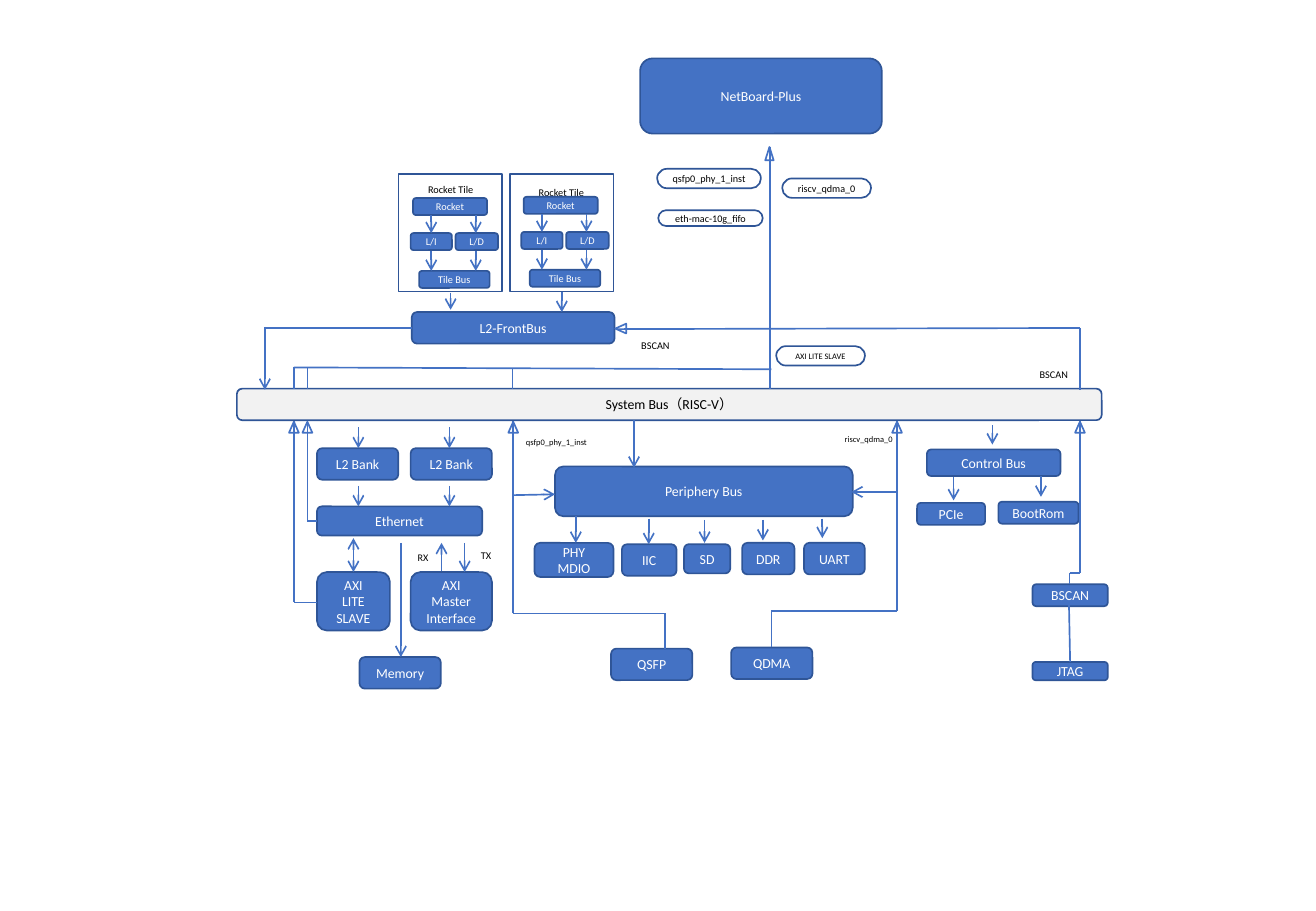
from dataclasses import dataclass
from typing import NamedTuple

from lxml.etree import SubElement
from pptx import Presentation
from pptx.dml.color import RGBColor
from pptx.enum.shapes import MSO_CONNECTOR, MSO_SHAPE
from pptx.enum.text import MSO_ANCHOR, PP_ALIGN
from pptx.oxml.ns import qn
from pptx.util import Pt


@dataclass(frozen=True)
class Theme:
    font: str = "Calibri"
    blue: str = "4472C4"
    edge: str = "2F5597"
    pale: str = "F2F2F2"
    white: str = "FFFFFF"
    black: str = "000000"
    block_size: float = 8.2
    part_size: float = 6.1
    pill_size: float = 6
    note_size: float = 5
    stroke: float = 1


class Block(NamedTuple):
    text: str
    left: float
    top: float
    width: float
    height: float
    wrap: bool = False


class Label(NamedTuple):
    text: str
    left: float
    top: float
    width: float
    size: float


class Head(NamedTuple):
    left: float
    top: float
    width: float = 5.8
    height: float = 6.5
    rotation: float = 0


Point = tuple[float, float]
theme = Theme()
deck = Presentation()
deck.slide_width, deck.slide_height = Pt(780), Pt(540)
page = deck.slides.add_slide(deck.slide_layouts[6])


def write(box, text: str, *, size: float, color: str, align=PP_ALIGN.CENTER,
          anchor=MSO_ANCHOR.MIDDLE, wrap: bool = False, inset: Point = (0, 0)) -> None:
    frame = box.text_frame
    frame.word_wrap = wrap
    frame.vertical_anchor = anchor
    frame.margin_left = frame.margin_right = Pt(inset[0])
    frame.margin_top = frame.margin_bottom = Pt(inset[1])
    para = frame.paragraphs[0]
    para.alignment = align
    span = para.add_run()
    span.text = text
    span.font.name = theme.font
    span.font.size = Pt(size)
    span.font.color.rgb = RGBColor.from_string(color)


def draw_shape(kind, left: float, top: float, width: float, height: float, *,
               fill: str | None = None, line: str = theme.edge):
    box = page.shapes.add_shape(kind, Pt(left), Pt(top), Pt(width), Pt(height))
    box.shadow.inherit = False
    if fill:
        box.fill.solid()
        box.fill.fore_color.rgb = RGBColor.from_string(fill)
    else:
        box.fill.background()
    box.line.color.rgb = RGBColor.from_string(line)
    box.line.width = Pt(theme.stroke)
    return box


def draw_block(block: Block, *, size: float = theme.block_size,
               fill: str = theme.blue, color: str = theme.white) -> None:
    box = draw_shape(MSO_SHAPE.ROUNDED_RECTANGLE, *block[1:5], fill=fill)
    write(box, block.text, size=size, color=color, wrap=block.wrap,
          inset=(7, 0) if block.wrap else (0, 0))


def draw_pill(block: Block, *, size: float = theme.pill_size) -> None:
    box = draw_shape(MSO_SHAPE.ROUNDED_RECTANGLE, *block[1:5])
    box.adjustments[0] = 0.5
    write(box, block.text, size=size, color=theme.black)


def draw_label(label: Label, *, align=PP_ALIGN.LEFT) -> None:
    box = page.shapes.add_textbox(Pt(label.left), Pt(label.top), Pt(label.width), Pt(14.4))
    write(box, label.text, size=label.size, color=theme.black, align=align,
          anchor=MSO_ANCHOR.TOP, wrap=True, inset=(7.2, 3.6))


def draw_line(start: Point, end: Point, *, arrow: bool = False, both: bool = False) -> None:
    line = page.shapes.add_connector(MSO_CONNECTOR.STRAIGHT, *map(Pt, start + end))
    line.line.color.rgb = RGBColor.from_string(theme.blue)
    line.line.width = Pt(theme.stroke)
    outline = line.line._get_or_add_ln()
    if both:
        SubElement(outline, qn("a:headEnd"), type="arrow")
    if arrow or both:
        SubElement(outline, qn("a:tailEnd"), type="arrow")
    SubElement(line._element.spPr, qn("a:effectLst"))


def draw_route(*points: Point) -> None:
    for start, end in zip(points, points[1:]):
        draw_line(start, end)


def draw_head(head: Head) -> None:
    box = draw_shape(MSO_SHAPE.ISOSCELES_TRIANGLE, *head[:4], line=theme.blue)
    box.rotation = head.rotation


def draw_tile(frame_left: float, shift: float, rise: float, title_top: float) -> None:
    draw_shape(MSO_SHAPE.RECTANGLE, frame_left, 103, 61.2, 69.8)
    draw_label(Label("Rocket Tile", 243.4 + shift, title_top, 47.5, theme.part_size),
               align=PP_ALIGN.CENTER)
    for text, left, top, width in (("Rocket", 244.8, 117.4, 43.9), ("L/I", 243.4, 138.2, 24.5),
                                   ("L/D", 270, 138.2, 25.2), ("Tile Bus", 248.4, 160.6, 41.8)):
        draw_block(Block(text, left + shift, top - rise, width, 10.1), size=theme.part_size)
    for x in (255.6, 282):
        for top, bottom in ((127.5, 138.2), (149, 160.6)):
            draw_line((x + shift, top - rise), (x + shift, bottom - rise), arrow=True)


BLOCKS = [
    Block("NetBoard-Plus", 379.4, 34.6, 143.3, 44.6),
    Block("L2-FrontBus", 244.1, 185, 120.2, 18.7),
    Block("L2 Bank", 187.9, 265.7, 48.2, 18.7),
    Block("L2 Bank", 243.4, 265.7, 48.2, 18.7),
    Block("Ethernet", 187.9, 300.2, 97.9, 17.3),
    Block("AXI LITE SLAVE", 187.9, 339.1, 43.2, 34.6, wrap=True),
    Block("AXI Master Interface", 243.4, 339.1, 48.2, 34.6, wrap=True),
    Block("Memory", 213.1, 389.5, 48.2, 18.7),
    Block("Periphery Bus", 329, 276.5, 176.4, 29.5),
    Block("PHY MDIO", 316.8, 321.8, 46.8, 20.2, wrap=True),
    Block("IIC", 368.6, 322.6, 32.4, 18.7),
    Block("SD", 405.4, 322.6, 27.4, 17.3),
    Block("DDR", 439.9, 321.8, 31, 18.7),
    Block("UART", 476.6, 321.8, 36, 18.7),
    Block("QSFP", 362.2, 384.5, 48.2, 18.7),
    Block("QDMA", 433.4, 383.8, 48.2, 18.7),
    Block("Control Bus", 549.4, 266.4, 79.2, 15.8),
    Block("PCIe", 543.6, 298.1, 40.3, 13),
    Block("BootRom", 591.8, 297.4, 47.5, 13),
    Block("BSCAN", 612, 346.3, 44.6, 13),
    Block("JTAG", 612, 392.4, 44.6, 10.8),
]
PILLS = [
    Block("qsfp0_phy_1_inst", 389.5, 100.1, 61.5, 11.5),
    Block("eth-mac-10g_fifo", 390.2, 124.6, 61.9, 9.4),
    Block("riscv_qdma_0", 463.7, 105.8, 52.6, 11.5),
]
LABELS = [
    Label("BSCAN", 373, 197.3, 43.2, theme.part_size),
    Label("BSCAN", 609.1, 214.6, 48.2, theme.part_size),
    Label("RX", 240.5, 323.3, 25.2, theme.pill_size),
    Label("TX", 277.9, 321.8, 25.2, theme.part_size),
    Label("qsfp0_phy_1_inst", 304.6, 255.6, 56, theme.note_size),
    Label("riscv_qdma_0", 493.6, 254, 50, theme.note_size),
]
DOWN_ARROWS = [
    (267.1, 173.5, 183.6), (333, 172.8, 185), (157, 193.7, 231.1),
    (212.4, 253.4, 265.7), (266.4, 253.4, 265.7), (212.4, 288, 300.2), (266.4, 288, 300.2),
    (237.6, 321.8, 389.5), (275.4, 321.8, 339.1), (375.8, 249.1, 277.2),
    (341.3, 306, 321.8), (384.5, 307.4, 322.6), (417.6, 308.2, 321.8),
    (452.2, 308.2, 320.4), (487.4, 307.4, 319),
    (588.2, 252, 263.5), (565.2, 283, 296.6), (617, 282.2, 294.5),
]
ROUTES = [
    ((456.5, 230.4), (456.5, 87.1)),
    ((457.2, 218.9), (174.2, 217.8)),
    ((174.2, 230.4), (174.2, 217.8)),
    ((182.2, 230.4), (182.2, 217.8)),
    ((303.8, 230.4), (303.8, 219)),
    ((182.2, 249.8), (182.2, 308.9), (187.9, 308.9)),
    ((174.2, 249.8), (174.2, 357.1), (187.9, 357.1)),
    ((394, 384.5), (394, 363.6), (304.2, 363.6), (304.2, 249.8)),
    ((457.2, 383.8), (457.2, 362.2), (531.7, 362.2), (531.7, 249.8)),
    ((634, 346.3), (634, 339.8), (640.1, 339.8), (640.1, 249.8)),
    ((244.1, 194.4), (157, 194.4)),
    ((365, 195.1), (640.1, 194.4), (640.1, 231.1)),
    ((634.3, 392.4), (633.6, 358.6)),
]
HEADS = [
    Head(453.6, 87.1, 5, 7.9),
    Head(365, 191.5, rotation=270),
    *(Head(x - 2.9, 250) for x in (174.2, 182.2, 304.2, 531.7, 640.1)),
]

draw_block(Block("System Bus（RISC-V）", 140.4, 230.4, 512.6, 18.7),
           fill=theme.pale, color=theme.black)
for block in BLOCKS:
    draw_block(block)
draw_tile(236.2, 0, 0, 105.1)
draw_tile(302.4, 65.6, 0.7, 106.6)
for pill in PILLS:
    draw_pill(pill)
draw_pill(Block("AXI LITE SLAVE", 460.1, 205.2, 52.6, 11.5), size=theme.note_size)
for label in LABELS:
    draw_label(label)
for x, top, bottom in DOWN_ARROWS:
    draw_line((x, top), (x, bottom), arrow=True)
draw_line((261.7, 338.4), (261.7, 321.8), arrow=True)
draw_line((209.5, 339.1), (209.5, 319), both=True)
draw_line((304.2, 293.5), (329, 293), arrow=True)
draw_line((531.7, 291.6), (504.7, 291.6), arrow=True)
for route in ROUTES:
    draw_route(*route)
for head in HEADS:
    draw_head(head)

deck.save("out.pptx")
